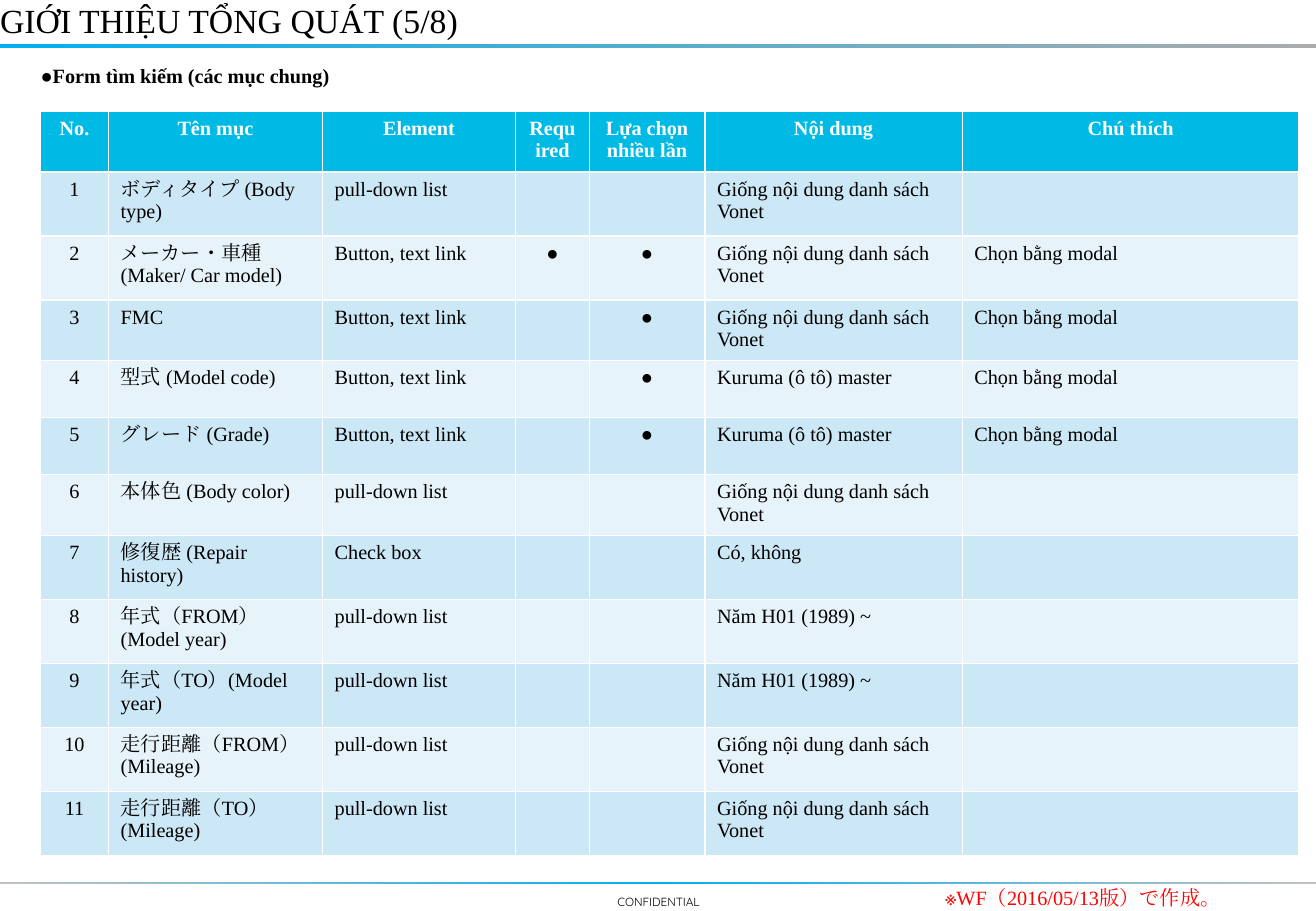
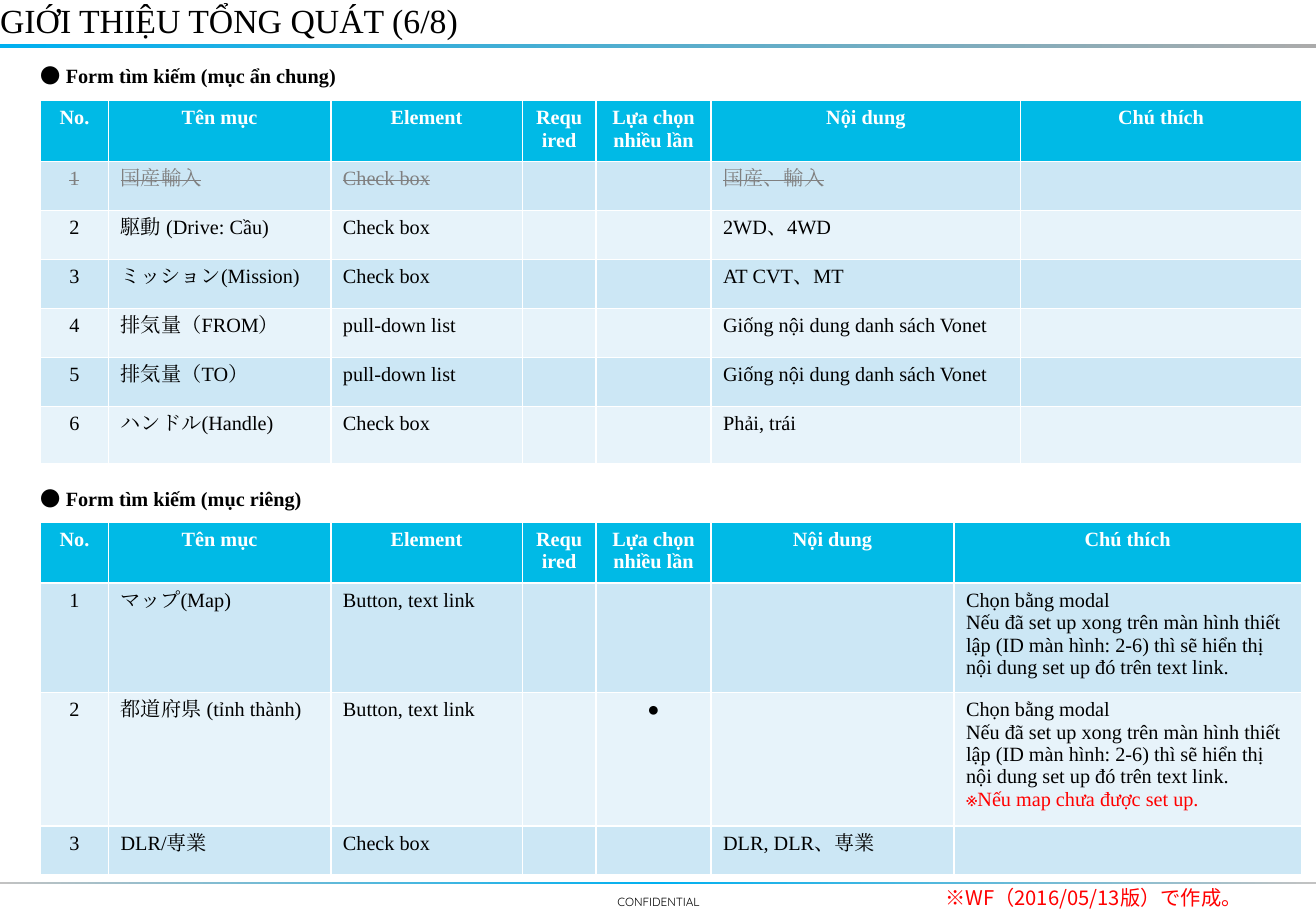
"""Build two slides listing the items of the search forms."""
from dataclasses import dataclass

from lxml import etree
from pptx import Presentation
from pptx.dml.color import RGBColor
from pptx.enum import shapes, text
from pptx.oxml import ns
from pptx.util import Pt


@dataclass(frozen=True)
class Theme:
    serif: str = "Times New Roman"
    sans: str = "Noto Sans CJK JP"
    footer: str = "Quicksand"
    black: str = "000000"
    white: str = "FFFFFF"
    red: str = "FF0000"
    struck: str = "808080"
    header: str = "00BAE6"
    bands: tuple = ("CCE7F5", "E7F3FA")
    top_bar: tuple = ("00B0F0", "ABABAB")
    bottom_bar: tuple = ("C2C2C2", "00B0F0", "C2C2C2")
    title_size: int = 20
    body_size: int = 12
    footer_size: int = 7


theme = Theme()


def style(paragraph, color=theme.black, name=theme.serif, size=theme.body_size, bold=False):
    font = paragraph.font
    font.name, font.size, font.bold = name, Pt(size), bold
    font.color.rgb = RGBColor.from_string(color)
    for latin in list(paragraph._p.iter(ns.qn("a:latin"))):
        east_asian = etree.Element(ns.qn("a:ea"), typeface=latin.get("typeface"))
        latin.addnext(east_asian)


def add_text(slide, left, top, width, height):
    frame = slide.shapes.add_textbox(Pt(left), Pt(top), Pt(width), Pt(height)).text_frame
    frame.word_wrap = True
    frame.margin_left = frame.margin_top = frame.margin_right = frame.margin_bottom = 0
    paragraph = frame.paragraphs[0]
    paragraph.space_before = Pt(2.4)
    return paragraph


columns = ("No.", "Tên mục", "Element", "Required", "Lựa chọn nhiều lần", "Nội dung", "Chú thích")
centered_columns = (0, 3, 4)
pull_down, button, check = "pull-down list", "Button, text link", "Check box"
same_list = "Giống nội dung danh sách Vonet"
master_list = "Kuruma (ô tô) master"
year = "Năm H01 (1989) ~"
modal = "Chọn bằng modal"
setup = modal + (
    "\nNếu đã set up xong trên màn hình thiết lập (ID màn hình: 2-6) "
    "thì sẽ hiển thị nội dung set up đó trên text link."
)

common_items = [
    ("ボディタイプ (Body type)", pull_down, "", "", same_list, ""),
    ("メーカー・車種 (Maker/ Car model)", button, "●", "●", same_list, modal),
    ("FMC", button, "", "●", same_list, modal),
    ("型式 (Model code)", button, "", "●", master_list, modal),
    ("グレード (Grade)", button, "", "●", master_list, modal),
    ("本体色 (Body color)", pull_down, "", "", same_list, ""),
    ("修復歴 (Repair history)", check, "", "", "Có, không", ""),
    ("年式（FROM）(Model year)", pull_down, "", "", year, ""),
    ("年式（TO）(Model year)", pull_down, "", "", year, ""),
    ("走行距離（FROM）(Mileage)", pull_down, "", "", same_list, ""),
    ("走行距離（TO）(Mileage)", pull_down, "", "", same_list, ""),
]
hidden_items = [
    ("国産輸入", check, "", "", "国産、輸入", ""),
    ("駆動 (Drive: Cầu)", check, "", "", "2WD、4WD", ""),
    ("ミッション(Mission)", check, "", "", "AT CVT、MT", ""),
    ("排気量（FROM）", pull_down, "", "", same_list, ""),
    ("排気量（TO）", pull_down, "", "", same_list, ""),
    ("ハンドル(Handle)", check, "", "", "Phải, trái", ""),
]
private_items = [
    ("マップ(Map)", button, "", "", "", setup),
    ("都道府県 (tỉnh thành)", button, "", "●", "", setup + "\n※Nếu map chưa được set up."),
    ("DLR/専業", check, "", "", "DLR, DLR、専業", ""),
]

pages = [
    {
        "title": "GIỚI THIỆU TỔNG QUÁT (5/8)",
        "mark_font": theme.serif,
        "sections": [
            {
                "heading": ("●", "Form tìm kiếm (các mục chung)"),
                "heading_top": 37.4,
                "table_top": 66,
                "widths": (40.3, 126.9, 114.5, 43.6, 68.6, 152.5, 199.7),
                "heights": (33.8, 37.9, 37.9, *[33.8] * 4, *[37.9] * 5),
                "items": common_items,
                "struck_rows": (),
            },
        ],
    },
    {
        "title": "GIỚI THIỆU TỔNG QUÁT (6/8)",
        "mark_font": theme.sans,
        "sections": [
            {
                "heading": ("●", " Form tìm kiếm (mục ẩn chung)"),
                "heading_top": 37.4,
                "table_top": 59.6,
                "widths": (40.3, 131.8, 113.5, 43.7, 68.2, 183.6, 166.3),
                "heights": (33.8, *[29.1] * 5, 33.8),
                "items": hidden_items,
                "struck_rows": (1,),
            },
            {
                "heading": ("●", " Form tìm kiếm (mục riêng)"),
                "heading_top": 288,
                "table_top": 309.6,
                "widths": (40.3, 131.8, 113.5, 43.7, 68.2, 144, 205.9),
                "heights": (33.8, 60.6, 73.8, 28.8),
                "items": private_items,
                "struck_rows": (),
            },
        ],
    },
]

presentation = Presentation()
presentation.slide_width, presentation.slide_height = Pt(780), Pt(540)
layout = presentation.slide_layouts[5]
layout_title = layout.placeholders[0]
layout_title.left, layout_title.top = Pt(0), Pt(0)
layout_title.width, layout_title.height = Pt(572.4), Pt(35.3)
slides = [presentation.slides.add_slide(layout) for page in pages]

for top, height, colors in ((522.7, 1.4, theme.bottom_bar), (25.9, 2.9, theme.top_bar)):
    bar = slides[0].shapes.add_shape(shapes.MSO_SHAPE.RECTANGLE, 0, Pt(top), Pt(780), Pt(height))
    bar.shadow.inherit = False
    bar.line.fill.background()
    bar.fill.gradient()
    bar.fill.gradient_angle = 0
    stops = next(bar.element.iter(ns.qn("a:gsLst")))
    for stop in list(stops):
        stops.remove(stop)
    for index, color in enumerate(colors):
        position = str(100000 * index // (len(colors) - 1))
        stop = etree.SubElement(stops, ns.qn("a:gs"), pos=position)
        etree.SubElement(stop, ns.qn("a:srgbClr"), val=color)
    layout.shapes.element.append(bar.element)

footer = add_text(slides[0], 322.6, 530.5, 135.4, 9.5)
footer.text = "CONFIDENTIAL"
footer.alignment = text.PP_ALIGN.CENTER
footer.space_before = Pt(0)
style(footer, name=theme.footer, size=theme.footer_size)
layout.shapes.element.append(footer._p.getparent().getparent())

for slide, page in zip(slides, pages):
    frame = slide.shapes.title.text_frame
    frame.text = page["title"]
    frame.auto_size = text.MSO_AUTO_SIZE.NONE
    frame.vertical_anchor = text.MSO_ANCHOR.TOP
    frame.margin_left = frame.margin_top = frame.margin_right = frame.margin_bottom = 0
    frame.paragraphs[0].alignment = text.PP_ALIGN.LEFT
    style(frame.paragraphs[0], size=theme.title_size)

    for section in page["sections"]:
        heading = add_text(slide, 24, section["heading_top"], 716, 18)
        for part in section["heading"]:
            heading.add_run().text = part
        heading.runs[0].font.name = page["mark_font"]
        style(heading, bold=True)

        widths, heights = section["widths"], section["heights"]
        table = slide.shapes.add_table(
            len(heights), len(widths), Pt(24), Pt(section["table_top"]),
            Pt(sum(widths)), Pt(sum(heights)),
        ).table
        table.horz_banding = False
        for column, width in zip(table.columns, widths):
            column.width = Pt(width)
        for row, height in zip(table.rows, heights):
            row.height = Pt(height)

        numbered = [(str(number), *item) for number, item in enumerate(section["items"], 1)]
        for row_index, values in enumerate([columns, *numbered]):
            is_header = row_index == 0
            is_struck = row_index in section["struck_rows"]
            fill = theme.header if is_header else theme.bands[(row_index - 1) % 2]
            color = theme.white if is_header else theme.struck if is_struck else theme.black
            for column_index, value in enumerate(values):
                cell = table.cell(row_index, column_index)
                cell.fill.solid()
                cell.fill.fore_color.rgb = RGBColor.from_string(fill)
                cell.text = value
                for paragraph in cell.text_frame.paragraphs:
                    is_warning = paragraph.text.startswith("※")
                    style(paragraph, theme.red if is_warning else color, bold=is_header)
                    if is_header or column_index in centered_columns:
                        paragraph.alignment = text.PP_ALIGN.CENTER
                    if is_struck:
                        for run in paragraph.runs:
                            run._r.get_or_add_rPr().set("strike", "sngStrike")

    note = add_text(slide, 560.2, 524.9, 211.7, 15)
    note.text = "※WF（2016/05/13版）で作成。"
    style(note, theme.red, page["mark_font"])

presentation.save("out.pptx")
